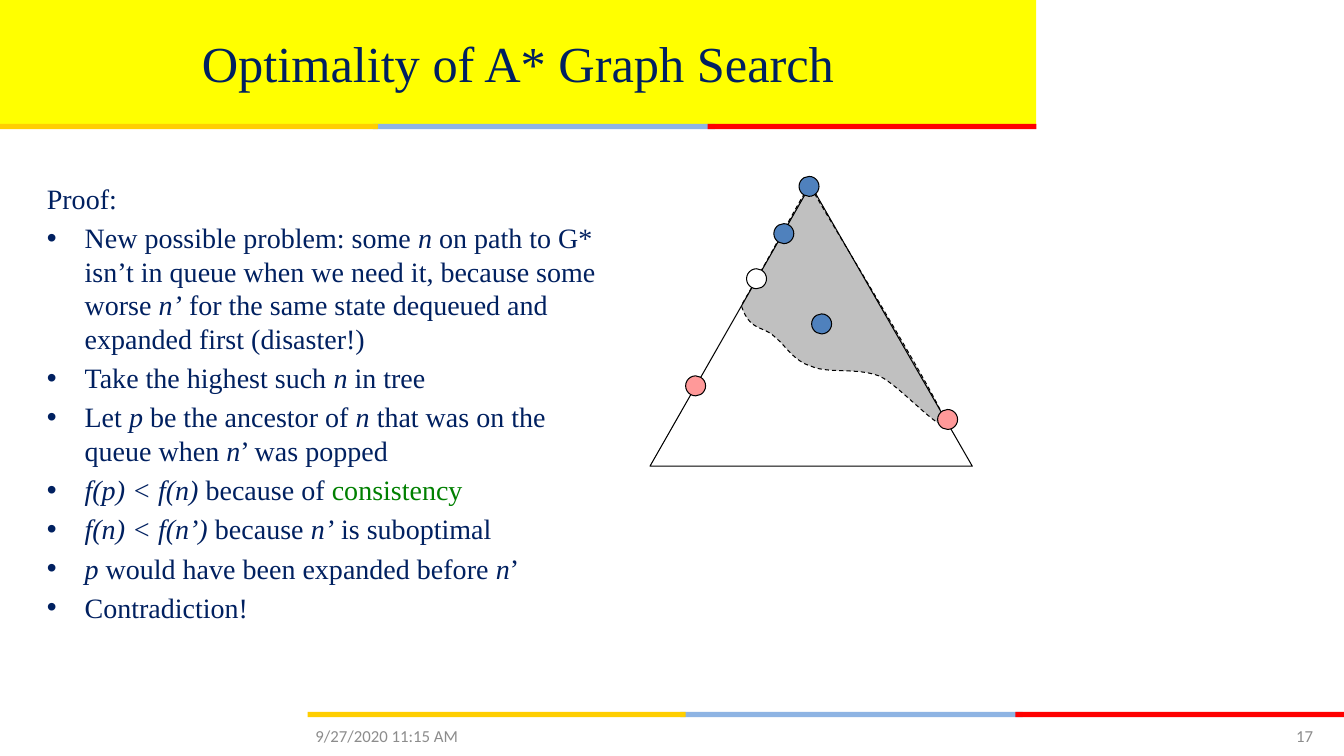
from lxml import etree
from pptx import Presentation, util as u
from pptx.dml.color import RGBColor
from pptx.enum import dml, shapes, text
from pptx.oxml import ns

PX = 9525
BLACK = RGBColor(0x00, 0x00, 0x00)
WHITE = RGBColor(0xFF, 0xFF, 0xFF)
GRAY = RGBColor(0xC0, 0xC0, 0xC0)
DIM = RGBColor(0x8C, 0x8C, 0x8C)
NAVY = RGBColor(0x00, 0x20, 0x60)
GREEN = RGBColor(0x00, 0x80, 0x00)
LEMON = RGBColor(0xFF, 0xFF, 0x00)
GOLD = RGBColor(0xFF, 0xCE, 0x00)
SKY = RGBColor(0x8E, 0xB4, 0xE3)
RED = RGBColor(0xFF, 0x00, 0x00)
PINK = RGBColor(0xFF, 0x99, 0x99)
BLUE = RGBColor(0x4F, 0x81, 0xBD)

SERIF = "Times New Roman"
DOT = 19
BANDS = [(355, 326, SKY), (674, 313, RED), (0, 360, GOLD)]
DOTS = [(893, 390, PINK), (653, 358, PINK), (761, 168, BLUE),
        (711, 256, WHITE), (773, 299, BLUE), (737, 213, BLUE)]
TREE = [(619, 444), (926, 444), (772, 176)]
START = (770, 178)
CURVES = [
    [(758, 197), (738, 236), (706, 291)],
    [(714, 316), (727, 310), (738, 321)],
    [(749, 330), (756, 344), (773, 349)],
    [(789, 356), (816, 350), (837, 358)],
    [(857, 366), (908, 426), (898, 396)],
    [(886, 367), (798, 223), (772, 178)],
]
PROOF = [
    ("Proof:", ""),
    ("New possible problem: some _n_ on path to G* isn’t in queue when we "
     "need it, because some worse _n’_ for the same state dequeued and "
     "expanded first (disaster!)", ""),
    ("Take the highest such _n _in tree", ""),
    ("Let _p_ be the ancestor of _n _that was on the queue when _n_’ "
     "was popped", ""),
    ("_f(p) < f(n)_ because of ", "consistency"),
    ("_f(n) < f(n’) _because _n’_ is suboptimal", ""),
    ("_p_ would have been expanded before _n_’", ""),
    ("Contradiction!", ""),
]


def say(para, words, size=20, face=SERIF, color=NAVY, align=None):
    if align is not None:
        para.alignment = align
    for i, part in enumerate(words.split("_")):
        if part:
            run = para.add_run()
            run.text = part
            font = run.font
            font.size, font.name = u.Pt(size), face
            font.italic = i % 2 == 1
            font.color.rgb = color


def place(shape, *box):
    shape.left, shape.top, shape.width, shape.height = [n * PX for n in box]


def paint(shape, fill=None, line=None):
    shape.shadow.inherit = False
    if fill is None:
        shape.fill.background()
    else:
        shape.fill.solid()
        shape.fill.fore_color.rgb = fill
    if line is None:
        shape.line.fill.background()
    else:
        shape.line.color.rgb = line
        shape.line.width = u.Pt(0.75)


def block(slide, kind, box, fill, line=None):
    shape = slide.shapes.add_shape(kind, *[n * PX for n in box])
    paint(shape, fill, line)


def stripe(slide, left, top):
    for x, width, color in BANDS:
        block(slide, shapes.MSO_SHAPE.RECTANGLE,
              (left + x, top, width, 5), color)


def bend(start, curves, steps=16):
    points = [start]
    for one, two, end in curves:
        first = points[-1]
        for i in range(1, steps + 1):
            t = i / steps
            s = 1 - t
            points.append(tuple(
                s**3 * a + 3 * s * s * t * b + 3 * s * t * t * c + t**3 * d
                for a, b, c, d in zip(first, one, two, end)))
    return points


def trace(slide, points, close, fill=None):
    spots = [(round(x * PX), round(y * PX)) for x, y in points]
    pen = slide.shapes.build_freeform(*spots[0], scale=1.0)
    pen.add_line_segments(spots[1:], close=close)
    shape = pen.convert_to_shape()
    paint(shape, fill, BLACK)
    return shape


def raise_up(shape):
    shape.element.getparent().append(shape.element)


def head(slide):
    title = slide.shapes.title
    place(title, 0, 0, 987, 118)
    title.text_frame.vertical_anchor = text.MSO_ANCHOR.MIDDLE
    say(title.text_frame.paragraphs[0], "Optimality of A* Graph Search",
        size=36, align=text.PP_ALIGN.CENTER)
    raise_up(title)


def proof(slide):
    body = slide.placeholders[1]
    place(body, 35, 168, 560, 475)
    frame = body.text_frame
    frame.auto_size = text.MSO_AUTO_SIZE.NONE
    for i, (words, tail) in enumerate(PROOF):
        para = frame.add_paragraph() if i else frame.paragraphs[0]
        if i == 0:
            para.space_before = u.Pt(0)
            props = para._p.get_or_add_pPr()
            etree.SubElement(props, ns.qn("a:buNone"))
        say(para, words)
        say(para, tail, color=GREEN)
    raise_up(body)


def graph(slide):
    area = trace(slide, bend(START, CURVES), False, GRAY)
    area.line.dash_style = dml.MSO_LINE.DASH
    trace(slide, TREE, True)
    for x, y, color in DOTS:
        block(slide, shapes.MSO_SHAPE.OVAL, (x, y, DOT, DOT), color, BLACK)


def foot(slide, words, box, align):
    frame = slide.shapes.add_textbox(*[n * PX for n in box]).text_frame
    frame.word_wrap = True
    frame.vertical_anchor = text.MSO_ANCHOR.MIDDLE
    say(frame.paragraphs[0], words,
        size=12, face="Calibri", color=DIM, align=align)


def main():
    deck = Presentation()
    deck.slide_width, deck.slide_height = 1280 * PX, 720 * PX
    slide = deck.slides.add_slide(deck.slide_layouts[1])
    stripe(slide, 293, 678)
    block(slide, shapes.MSO_SHAPE.RECTANGLE, (0, 0, 987, 118), LEMON)
    stripe(slide, 0, 118)
    head(slide)
    proof(slide)
    graph(slide)
    foot(slide, "9/27/2020 11:15 AM", (291, 682, 299, 38),
         text.PP_ALIGN.LEFT)
    foot(slide, "17", (1120, 682, 140, 38), text.PP_ALIGN.RIGHT)
    deck.save("out.pptx")


if __name__ == "__main__":
    main()
